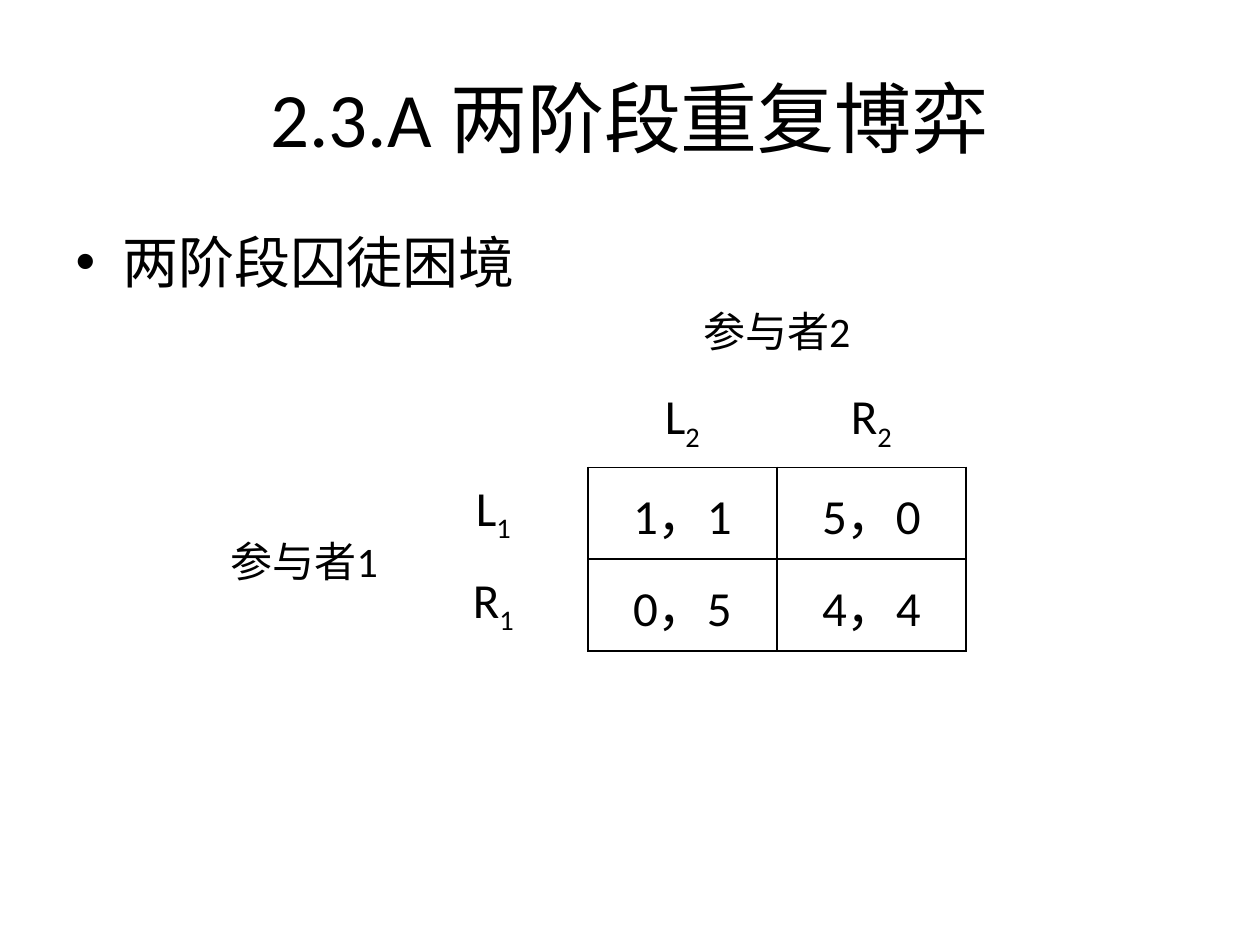
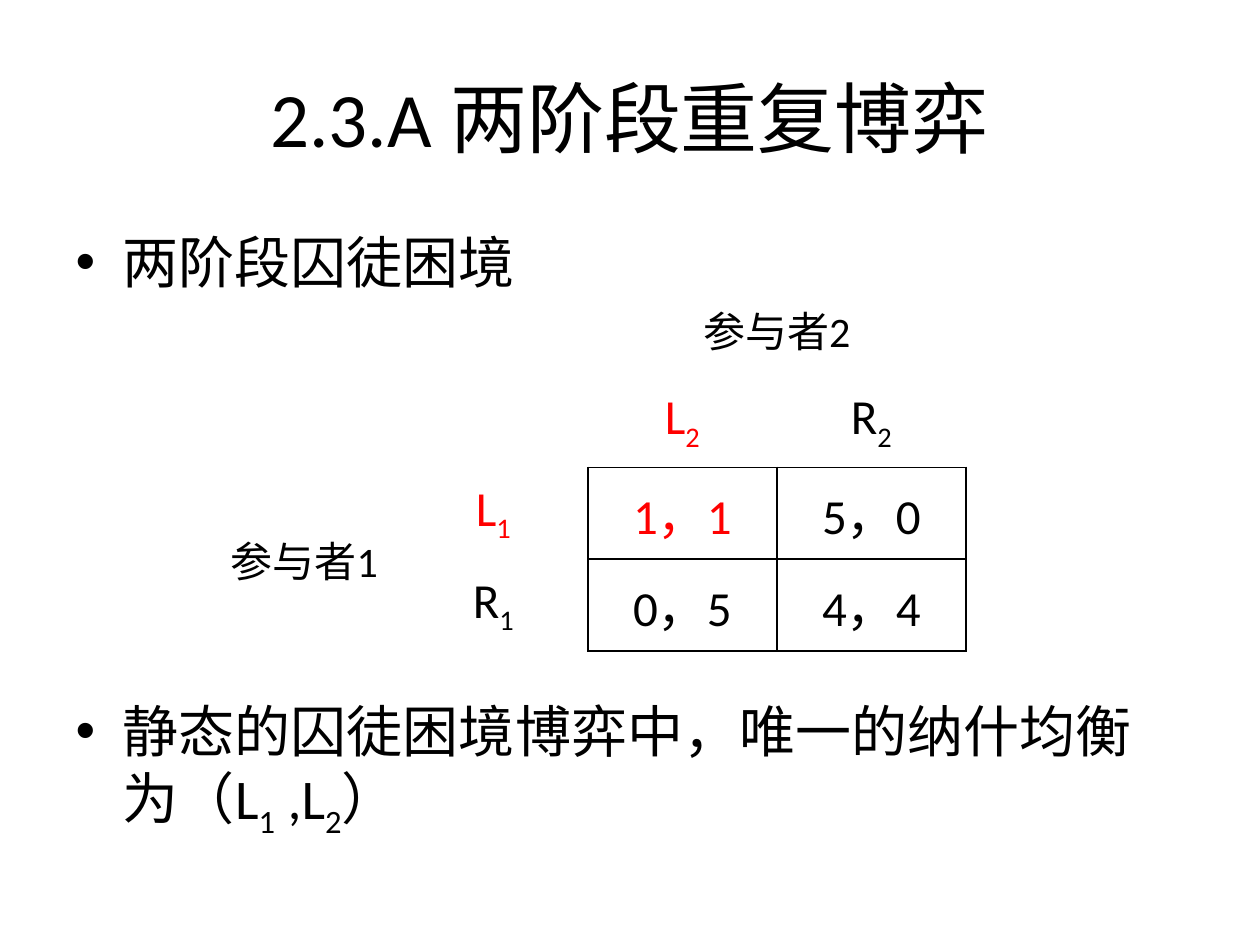
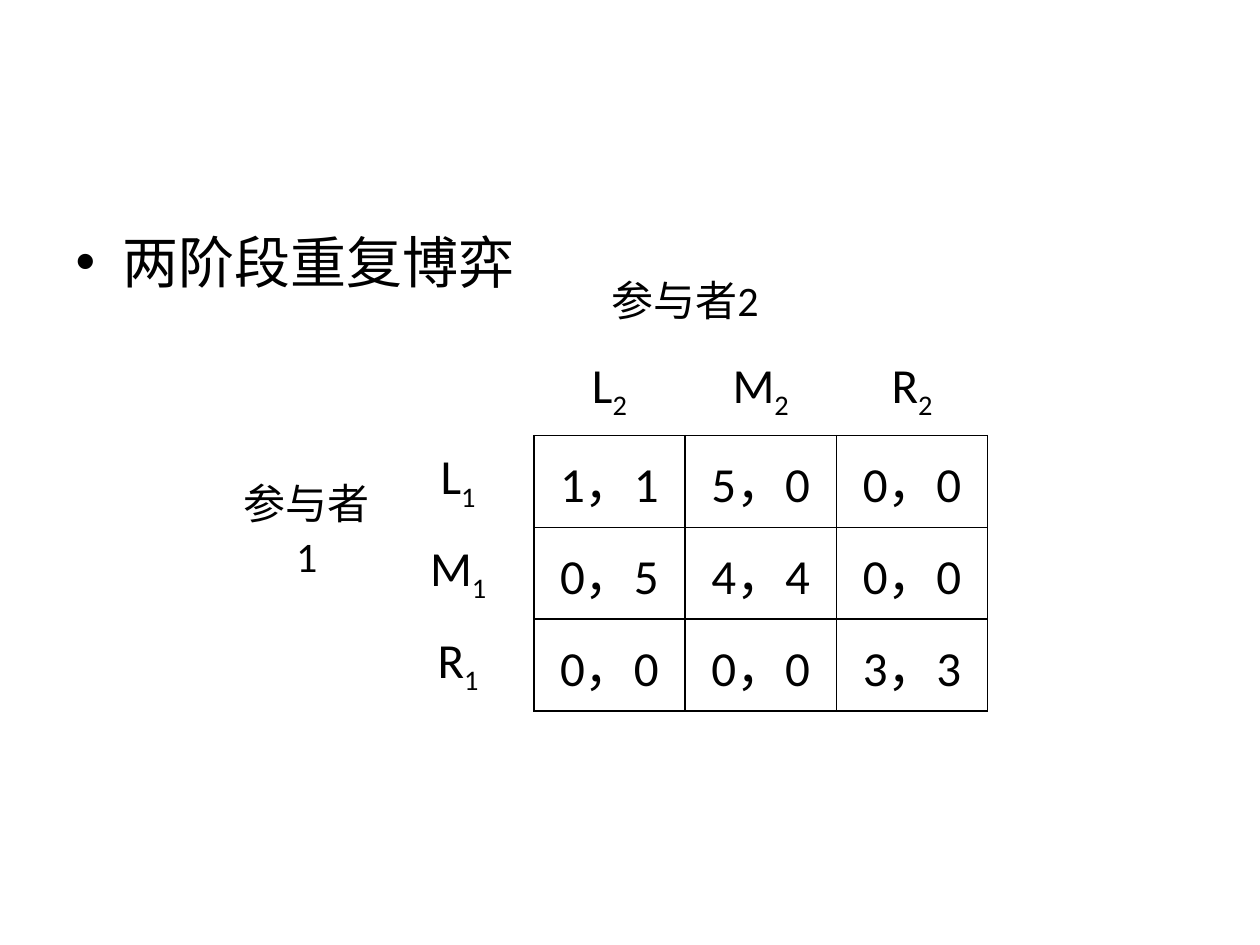
from dataclasses import dataclass
from typing import NamedTuple

from pptx import Presentation
from pptx.dml.color import RGBColor
from pptx.enum.text import MSO_ANCHOR, MSO_AUTO_SIZE, PP_ALIGN
from pptx.oxml.ns import qn
from pptx.util import Cm, Pt
from lxml.etree import SubElement

BLACK = "000000"
RED = "FF0000"
FONT = "Calibri"
TITLE_SIZE, LIST_SIZE, PLAYER_SIZE, GAME_SIZE = 44, 32, 24, 28
TITLE_AREA = (1.27, 0.76, 22.86, 3.18)
LIST_LEFT, LIST_TOP, LIST_WIDTH = 1.27, 4.45, 22.86
ROW_HEIGHT = 1.85
HEADERS = 2
EDGES = ("L", "R", "T", "B")


class Span(NamedTuple):
    text: str
    lowered: bool = False


class Item(NamedTuple):
    spans: list[Span]
    space_before: float = 0


@dataclass
class Game:
    strategies: str
    payoffs: list[list[str]]
    left: float
    top: float
    column_width: float
    equilibrium: tuple[int, int] | None = None


@dataclass
class GameSlide:
    items: list[Item]
    game: Game
    title: str = ""
    list_height: float = 12.57


def colour(code: str) -> RGBColor:
    return RGBColor.from_string(code)


def apply(target, formats: dict) -> None:
    for attribute, value in formats.items():
        setattr(target, attribute, value)


def place(shape, area: tuple) -> None:
    apply(shape, dict(zip(("left", "top", "width", "height"), map(Cm, area))))


def symbol(letter: str, player: int) -> list[Span]:
    return [Span(letter), Span(str(player), True)]


def write(paragraph, spans: list[Span], size: float, code: str = BLACK) -> None:
    for span in spans:
        run = paragraph.add_run()
        run.text = span.text
        apply(run.font, {"name": FONT, "size": Pt(size)})
        run.font.color.rgb = colour(code)
        if span.lowered:
            run.font._element.set("baseline", "-25000")


def write_cell(cell, spans: list[Span], size: float, code: str = BLACK) -> None:
    paragraph = cell.text_frame.paragraphs[0]
    paragraph.alignment = PP_ALIGN.CENTER
    write(paragraph, spans, size, code)


def border(cell, drawn: str) -> None:
    properties = cell._tc.get_or_add_tcPr()
    for edge in EDGES:
        line = SubElement(properties, qn(f"a:ln{edge}"), w=str(Pt(1)))
        if edge in drawn:
            fill = SubElement(line, qn("a:solidFill"))
            SubElement(fill, qn("a:srgbClr"), val=BLACK)
        else:
            SubElement(line, qn("a:noFill"))


def drawn_edges(row: int, column: int) -> str:
    if row >= HEADERS and column >= HEADERS:
        return "LRTB"
    if row == HEADERS - 1 and column >= HEADERS:
        return "B"
    if column == HEADERS - 1 and row >= HEADERS:
        return "R"
    return ""


def add_game(slide, game: Game) -> None:
    count = len(game.strategies) + HEADERS
    table = slide.shapes.add_table(
        count, count, Cm(game.left), Cm(game.top),
        Cm(game.column_width * count), Cm(ROW_HEIGHT * count),
    ).table
    apply(table, {"first_row": False, "horz_banding": False})
    for index in range(count):
        table.columns[index].width = Cm(game.column_width)
        table.rows[index].height = Cm(ROW_HEIGHT)
        for column in range(count):
            cell = table.cell(index, column)
            border(cell, drawn_edges(index, column))
            cell.fill.background()
            cell.vertical_anchor = MSO_ANCHOR.MIDDLE

    table.cell(0, HEADERS).merge(table.cell(0, HEADERS + 1))
    table.cell(HEADERS, 0).merge(table.cell(HEADERS + 1, 0))
    write_cell(table.cell(0, HEADERS), [Span("参与者2")], PLAYER_SIZE)
    write_cell(table.cell(HEADERS, 0), [Span("参与者1")], PLAYER_SIZE)

    best_row, best_column = game.equilibrium or (None, None)
    for i, letter in enumerate(game.strategies):
        row_code = RED if i == best_row else BLACK
        column_code = RED if i == best_column else BLACK
        write_cell(table.cell(HEADERS + i, HEADERS - 1), symbol(letter, 1), GAME_SIZE, row_code)
        write_cell(table.cell(HEADERS - 1, HEADERS + i), symbol(letter, 2), GAME_SIZE, column_code)
        for j, payoff in enumerate(game.payoffs[i]):
            payoff_code = RED if (i, j) == game.equilibrium else BLACK
            write_cell(table.cell(HEADERS + i, HEADERS + j), [Span(payoff)], GAME_SIZE, payoff_code)


def add_title(slide, text: str) -> None:
    title = slide.shapes.title
    if not text:
        title.element.getparent().remove(title.element)
        return
    place(title, TITLE_AREA)
    title.text_frame.vertical_anchor = MSO_ANCHOR.MIDDLE
    heading = title.text_frame.paragraphs[0]
    heading.alignment = PP_ALIGN.CENTER
    write(heading, [Span(text)], TITLE_SIZE)


def add_list(slide, items: list[Item], height: float) -> None:
    body = slide.placeholders[1]
    place(body, (LIST_LEFT, LIST_TOP, LIST_WIDTH, height))
    frame = body.text_frame
    frame.auto_size = MSO_AUTO_SIZE.NONE
    for index, item in enumerate(items):
        paragraph = frame.add_paragraph() if index else frame.paragraphs[0]
        paragraph.space_before = Pt(item.space_before)
        write(paragraph, item.spans, LIST_SIZE)


def add_game_slide(deck, content: GameSlide) -> None:
    slide = deck.slides.add_slide(deck.slide_layouts[1])
    add_title(slide, content.title)
    add_list(slide, content.items, content.list_height)
    add_game(slide, content.game)


def prisoners(equilibrium: tuple[int, int] | None = None) -> Game:
    payoffs = [["1，1", "5，0"], ["0，5", "4，4"]]
    return Game("LR", payoffs, 4.23, 5.72, 3.81, equilibrium)


def main() -> None:
    chapter = "2.3.A 两阶段重复博弈"
    dilemma = Item([Span("两阶段囚徒困境")])
    nash = Item(
        [Span("静态的囚徒困境博弈中，唯一的纳什均衡为（"), *symbol("L", 1),
         Span(" ,"), *symbol("L", 2), Span("）")],
        space_before=230,
    )
    three_strategies = Game(
        "LMR",
        [["1，1", "5，0", "0，0"], ["0，5", "4，4", "0，0"], ["0，0", "0，0", "3，3"]],
        4.66, 5.08, 3.05,
    )
    contents = [
        GameSlide([dilemma], prisoners(), chapter),
        GameSlide([dilemma, nash], prisoners((0, 0)), chapter, 13.13),
        GameSlide([Item([Span("两阶段重复博弈")])], three_strategies),
    ]

    deck = Presentation()
    apply(deck, {"slide_width": Cm(25.4), "slide_height": Cm(19.05)})
    for content in contents:
        add_game_slide(deck, content)
    deck.save("out.pptx")


if __name__ == "__main__":
    main()
